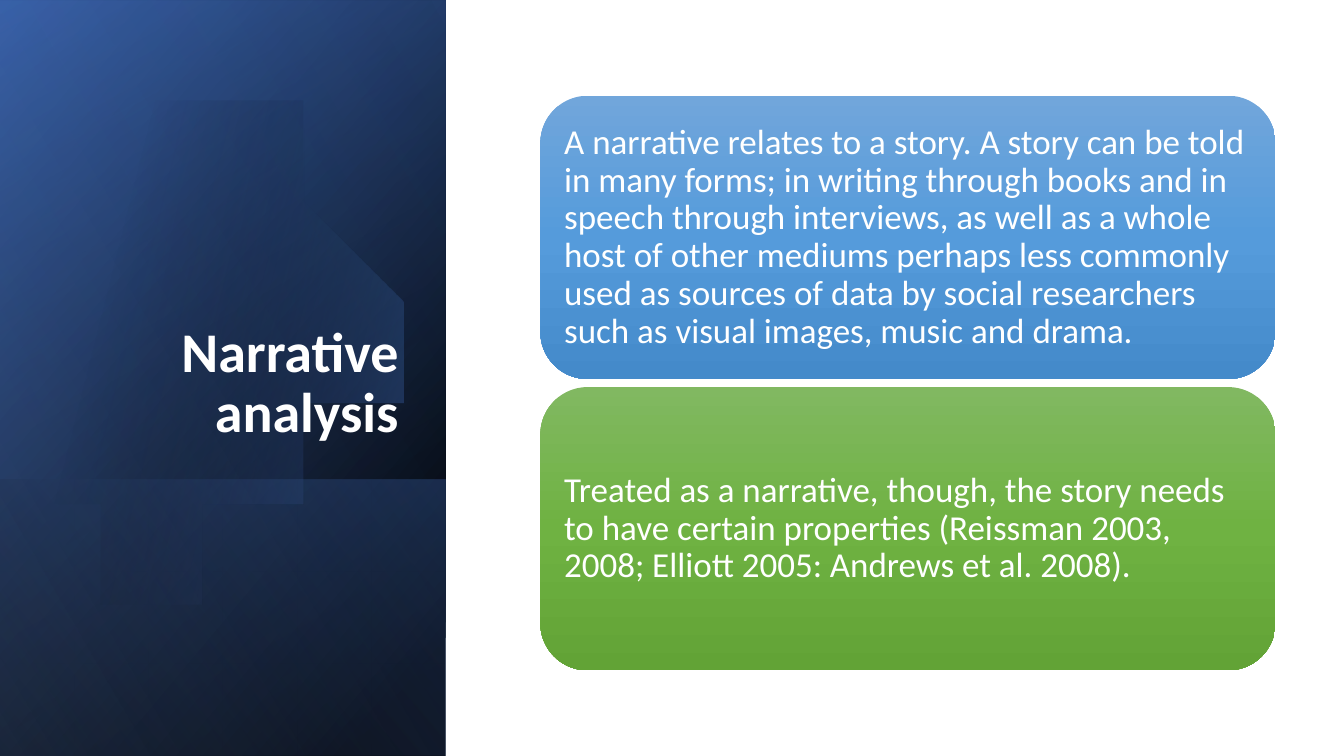
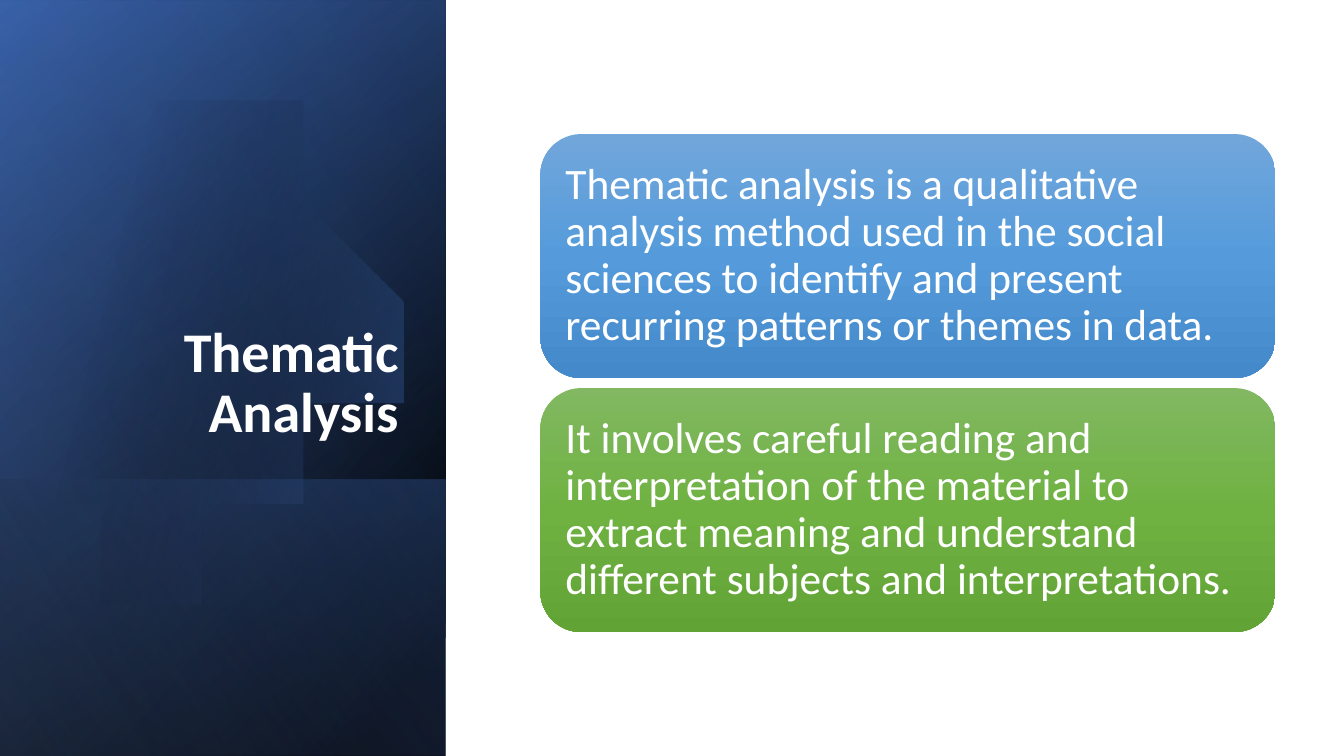
from dataclasses import dataclass

import lxml.etree
import pptx
import pptx.dml.color
import pptx.enum.shapes
import pptx.enum.text
import pptx.oxml.ns
import pptx.shapes.autoshape
import pptx.slide
import pptx.text.text
import pptx.util
from pptx.util import Inches

Shape = pptx.shapes.autoshape.Shape
Kind = pptx.enum.shapes.MSO_SHAPE
Align = pptx.enum.text.PP_ALIGN
Anchor = pptx.enum.text.MSO_ANCHOR
Point = tuple[float, float]
qn = pptx.oxml.ns.qn


@dataclass(frozen=True)
class Stop:
    pos: int
    color: str
    alpha: int = 100


@dataclass(frozen=True)
class Blend:
    angle: float
    stops: tuple[Stop, ...]


@dataclass(frozen=True)
class Panel:
    left: float
    top: float
    width: float
    height: float
    blend: Blend


@dataclass(frozen=True)
class Page:
    title: str
    texts: tuple[str, ...]
    height: float
    gap: float
    inset: float
    size: int


@dataclass(frozen=True)
class Theme:
    font: str = "Calibri"
    text: str = "FFFFFF"
    title: int = 40
    large: int = 31
    small: int = 25
    leading: float = 0.9
    base: Blend = Blend(50, (Stop(8, "000000"), Stop(100, "2F5597")))
    glow: Blend = Blend(30, (Stop(0, "000000", 0), Stop(99, "4472C4", 46)))
    foot: Blend = Blend(130, (Stop(2, "4472C4", 29), Stop(100, "000000", 30)))
    disc: Blend = Blend(14, (Stop(29, "000000", 0), Stop(100, "4472C4", 43)))
    veil: Blend = Blend(120, (Stop(0, "000000", 0), Stop(99, "8FAADC", 11)))
    cards: tuple[Blend, ...] = (
        Blend(90, (Stop(0, "71A6DB"), Stop(50, "559BDB"), Stop(100, "448ACA"))),
        Blend(90, (Stop(0, "81B861"), Stop(50, "6FB242"), Stop(100, "62A336"))),
    )


THEME = Theme()
BACK = (
    Panel(-1.54, 1.54, 7.5, 4.42, THEME.base),
    Panel(-1.54, 1.55, 7.5, 4.42, THEME.glow),
    Panel(0.84, 3.92, 2.74, 4.42, THEME.foot),
)
FRONT = Panel(-1.54, 1.54, 7.5, 4.42, THEME.veil)

START: Point = (1.49, 1.1)
CURVES: tuple[tuple[Point, ...], ...] = (
    ((2.46, 1.12), (3.35, 1.77), (3.63, 2.75)),
    ((3.98, 3.97), (3.28, 5.23), (2.07, 5.58)),
    ((1.31, 5.8), (0.53, 5.61), (-0.03, 5.14)),
    ((-0.15, 5.03),),
    ((-0.15, 1.75),),
    ((0, 1.61),),
    ((0.23, 1.42), (0.5, 1.28), (0.8, 1.19)),
    ((1.03, 1.13), (1.26, 1.1), START),
)
STEPS = 24
CARD_LEFT, CARD_WIDTH, CARD_MID = 5.36, 7.29, 3.8

PAGES = (
    Page(
        "Narrative analysis",
        (
            "A narrative relates to a story. A story can be told in many forms; "
            "in writing through books and in speech through interviews, as well as "
            "a whole host of other mediums perhaps less commonly used as sources of "
            "data by social researchers such as visual images, music and drama.",
            "Treated as a narrative, though, the story needs to have certain "
            "properties (Reissman 2003, 2008; Elliott 2005: Andrews et al. 2008).",
        ),
        2.81, 0.08, 0.1, THEME.small,
    ),
    Page(
        "Thematic Analysis",
        (
            "Thematic analysis is a qualitative analysis method used in the social "
            "sciences to identify and present recurring patterns or themes in data.",
            "It involves careful reading and interpretation of the material to "
            "extract meaning and understand different subjects and interpretations.",
        ),
        2.42, 0.1, 0.13, THEME.large,
    ),
)


def paint(shape: Shape, blend: Blend) -> None:
    shape.shadow.inherit = False
    shape.line.fill.background()
    shape.fill.gradient()
    shape.fill.gradient_angle = 360 - blend.angle
    stops = shape.element.spPr.find(".//" + qn("a:gsLst"))
    for old in list(stops):
        stops.remove(old)
    for stop in blend.stops:
        node = lxml.etree.SubElement(stops, qn("a:gs"), pos=str(stop.pos * 1000))
        color = lxml.etree.SubElement(node, qn("a:srgbClr"), val=stop.color)
        if stop.alpha < 100:
            lxml.etree.SubElement(color, qn("a:alpha"), val=str(stop.alpha * 1000))


def write(frame: pptx.text.text.TextFrame, text: str, size: int,
          align: Align, anchor: Anchor, bold: bool = False) -> None:
    frame.word_wrap = True
    frame.vertical_anchor = anchor
    line = frame.paragraphs[0]
    line.text = text
    line.alignment = align
    line.line_spacing = THEME.leading
    line.font.name = THEME.font
    line.font.size = pptx.util.Pt(size)
    line.font.bold = bold
    line.font.color.rgb = pptx.dml.color.RGBColor.from_string(THEME.text)


def add_panel(slide: pptx.slide.Slide, panel: Panel) -> None:
    shape = slide.shapes.add_shape(
        Kind.RECTANGLE, Inches(panel.left), Inches(panel.top),
        Inches(panel.width), Inches(panel.height))
    shape.rotation = 90
    shape.element.spPr.find(qn("a:xfrm")).set("flipH", "1")
    paint(shape, panel.blend)


def trace() -> list[Point]:
    points: list[Point] = []
    last = START
    for curve in CURVES:
        if len(curve) == 1:
            points.append(curve[0])
        else:
            first, second, end = curve
            for step in range(1, STEPS + 1):
                t = step / STEPS
                u = 1 - t
                x, y = (
                    u**3 * a + 3 * u * u * t * b + 3 * u * t * t * c + t**3 * d
                    for a, b, c, d in zip(last, first, second, end))
                points.append((x, y))
        last = curve[-1]
    return points


def add_disc(slide: pptx.slide.Slide) -> None:
    path = slide.shapes.build_freeform(*START, scale=Inches(1))
    path.add_line_segments(trace(), close=True)
    paint(path.convert_to_shape(), THEME.disc)


def add_title(slide: pptx.slide.Slide, text: str) -> None:
    box = slide.shapes.add_textbox(
        Inches(0.64), Inches(1.84), Inches(3.41), Inches(2.62))
    write(box.text_frame, text, THEME.title, Align.RIGHT, Anchor.BOTTOM, True)


def add_cards(slide: pptx.slide.Slide, page: Page) -> None:
    pitch = page.height + page.gap
    top = CARD_MID - (len(page.texts) * pitch - page.gap) / 2
    for index, (text, blend) in enumerate(zip(page.texts, THEME.cards)):
        card = slide.shapes.add_shape(
            Kind.ROUNDED_RECTANGLE, Inches(CARD_LEFT), Inches(top + index * pitch),
            Inches(CARD_WIDTH), Inches(page.height))
        paint(card, blend)
        frame = card.text_frame
        frame.margin_left = frame.margin_right = Inches(page.inset)
        frame.margin_top = frame.margin_bottom = Inches(page.inset)
        write(frame, text, page.size, Align.LEFT, Anchor.MIDDLE)


def main() -> None:
    deck = pptx.Presentation()
    deck.slide_width = Inches(13.33)
    deck.slide_height = Inches(7.5)
    for page in PAGES:
        slide = deck.slides.add_slide(deck.slide_layouts[6])
        for panel in BACK:
            add_panel(slide, panel)
        add_disc(slide)
        add_panel(slide, FRONT)
        add_title(slide, page.title)
        add_cards(slide, page)
    deck.save("out.pptx")


if __name__ == "__main__":
    main()
